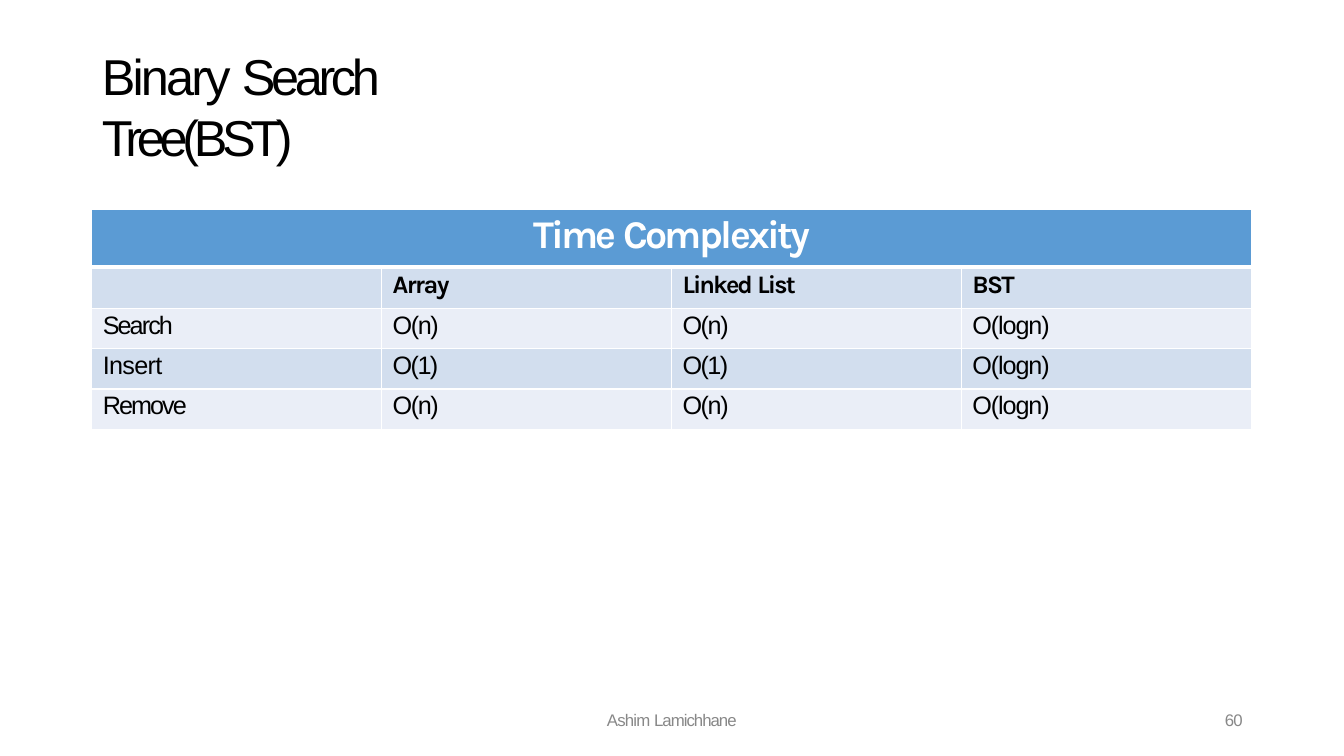
from pptx import Presentation
from pptx.dml.color import RGBColor
from pptx.enum.text import MSO_AUTO_SIZE, PP_ALIGN
from pptx.oxml import parse_xml
from pptx.oxml.ns import nsdecls
from pptx.util import Inches, Pt

theme = {
    "white": "FFFFFF", "head": "5B9BD4", "dark": "D2DEEE", "light": "EAEEF7",
    "title": {"name": "Arial", "size": Pt(36), "color": "000000"},
    "foot": {"name": "Arial", "size": Pt(12), "color": "888888"},
    "banner": {"name": "Karla", "size": Pt(28), "color": "FFFFFF", "bold": True},
    "label": {"name": "Karla", "size": Pt(18), "color": "000000", "bold": True},
    "body": {"name": "Arial", "size": Pt(18), "color": "000000", "bold": False},
}


def write(frame, runs, style, indent, **form):
    """Fill the first paragraph with (text, letter spacing in points) runs."""
    para = frame.paragraphs[0]
    for key, value in form.items():
        setattr(para, key, value)
    para._p.get_or_add_pPr().set("marL", str(Inches(indent)))
    for text, gap in runs:
        run = para.add_run()
        run.text = text
        for key, value in theme[style].items():
            if key == "color":
                run.font.color.rgb = RGBColor.from_string(value)
            else:
                setattr(run.font, key, value)
        run._r.get_or_add_rPr().set("spc", str(round(gap * 100)))


def edge(cell, **sides):
    """Draw white cell borders, with widths in points by side."""
    props = cell._tc.get_or_add_tcPr()
    for spot, side in enumerate("LRTB"):
        props.insert(spot, parse_xml(
            f'<a:ln{side} {nsdecls("a")} w="{Pt(sides.get(side, 1))}"><a:solidFill>'
            f'<a:srgbClr val="{theme["white"]}"/></a:solidFill></a:ln{side}>'))


deck = Presentation()
deck.slide_width, deck.slide_height = Inches(13.33), Inches(7.5)
slide = deck.slides.add_slide(deck.slide_layouts[6])

# Title, footer and page number
boxes = [
    ((1, 0.44, 4.69, 0.63), "title", 0.01,
     [("Binary ", -2), ("Search ", -3.1), ("Tree(BST)", -3.8)],
     {"space_before": Pt(1)}),
    ((6.01, 7.07, 1.31, 0.2), "foot", 0.01,
     [("Ashim ", -0.6), ("Lamichhane", -0.7)], {"line_spacing": Pt(12.4)}),
    ((12.12, 7.07, 0.23, 0.2), "foot", 0.03,
     [("60", -0.6)], {"line_spacing": Pt(12.4)}),
]
for place, style, indent, runs, form in boxes:
    frame = slide.shapes.add_textbox(*map(Inches, place)).text_frame
    inset = {"margin_left": 0, "margin_right": 0, "margin_bottom": 0,
             "margin_top": Inches(0.01 if style == "title" else 0),
             "word_wrap": True, "auto_size": MSO_AUTO_SIZE.SHAPE_TO_FIT_TEXT}
    for key, value in inset.items():
        setattr(frame, key, value)
    write(frame, runs, style, indent, **form)

# Table contents
rows = [
    [[("Time ", -2.1), ("Complexity", -1.8)], [], [], []],
    [[], [("Array", -1.1)], [("Linked ", -1.4), ("List", -1.3)], [("BST", -1.2)]],
]
for name, gap, cost, tight in [("Search", -1.4, "O(n)", -1),
                               ("Insert", -0.5, "O(1)", -1.1),
                               ("Remove", -1.4, "O(n)", -1)]:
    rows.append([[(name, gap)], [(cost, tight)], [(cost, tight)], [("O(logn)", -0.8)]])

# Table grid
grid = slide.shapes.add_table(
    5, 4, Inches(0.91), Inches(2.08), Inches(11.5), Inches(2.18)).table
grid.first_row = grid.horz_banding = False
for col in grid.columns:
    col.width = Inches(11.5 / 4)
for row, tall in zip(grid.rows, [0.57, 0.41, 0.4, 0.4, 0.4]):
    row.height = Inches(tall)
grid.cell(0, 0).merge(grid.cell(0, 3))

# Table cells
inset = {"margin_left": 0, "margin_right": 0, "margin_bottom": 0,
         "margin_top": Inches(0.03)}
for r, line in enumerate(rows):
    tint = "head" if r == 0 else "dark" if r % 2 else "light"
    style = "banner" if r == 0 else "label" if r == 1 else "body"
    for c, runs in enumerate(line):
        cell = grid.cell(r, c)
        for key, value in inset.items():
            setattr(cell, key, value)
        cell.fill.solid()
        cell.fill.fore_color.rgb = RGBColor.from_string(theme[tint])
        edge(cell, T=3 if r == 1 else 1, B=3 if r == 0 else 1)
        if r == 0 and c == 0:
            write(cell.text_frame, runs, style, 0.01,
                  alignment=PP_ALIGN.CENTER, space_before=Pt(1.8))
        elif r:
            write(cell.text_frame, runs, style, 0.11, space_before=Pt(2.4))

deck.save("out.pptx")
